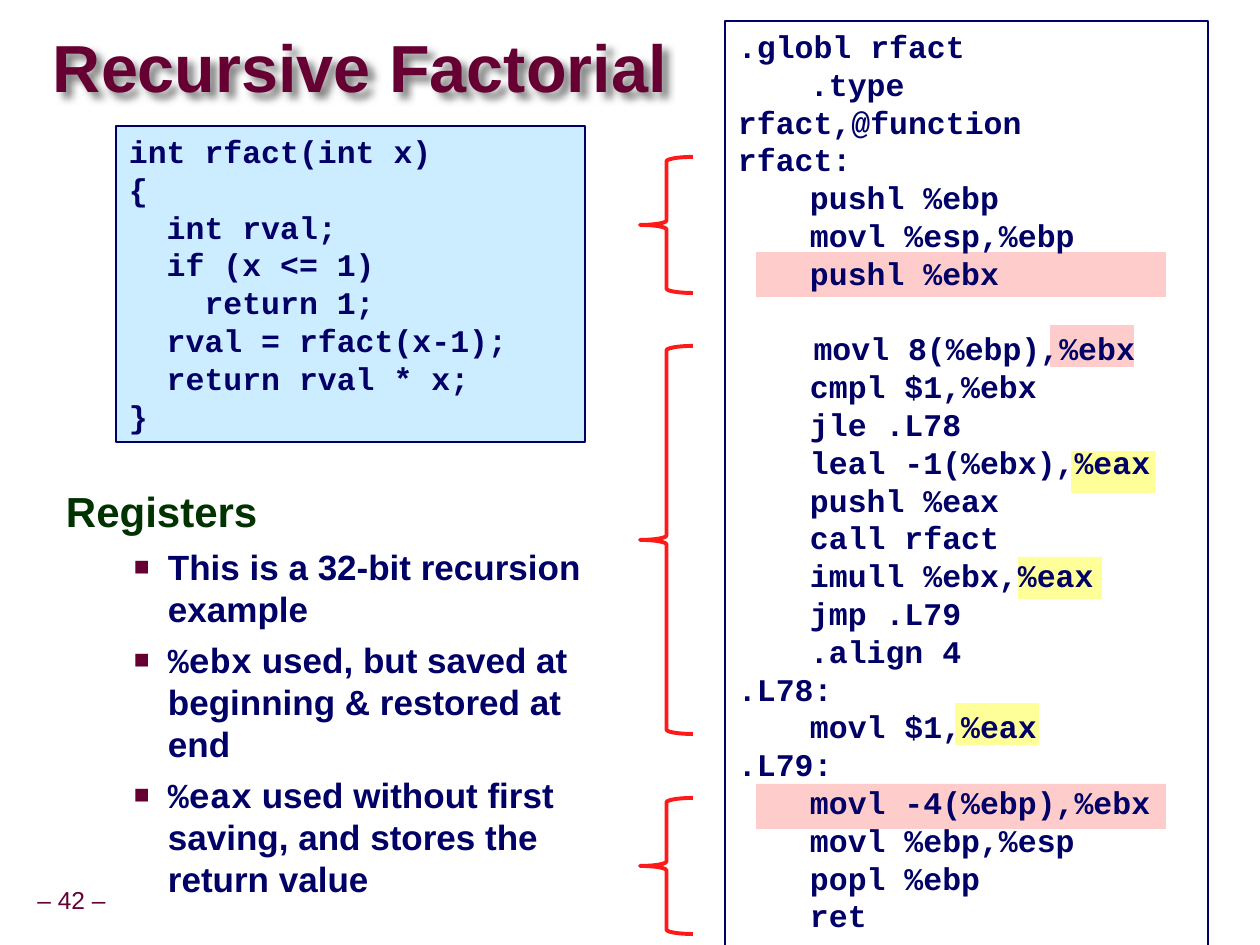
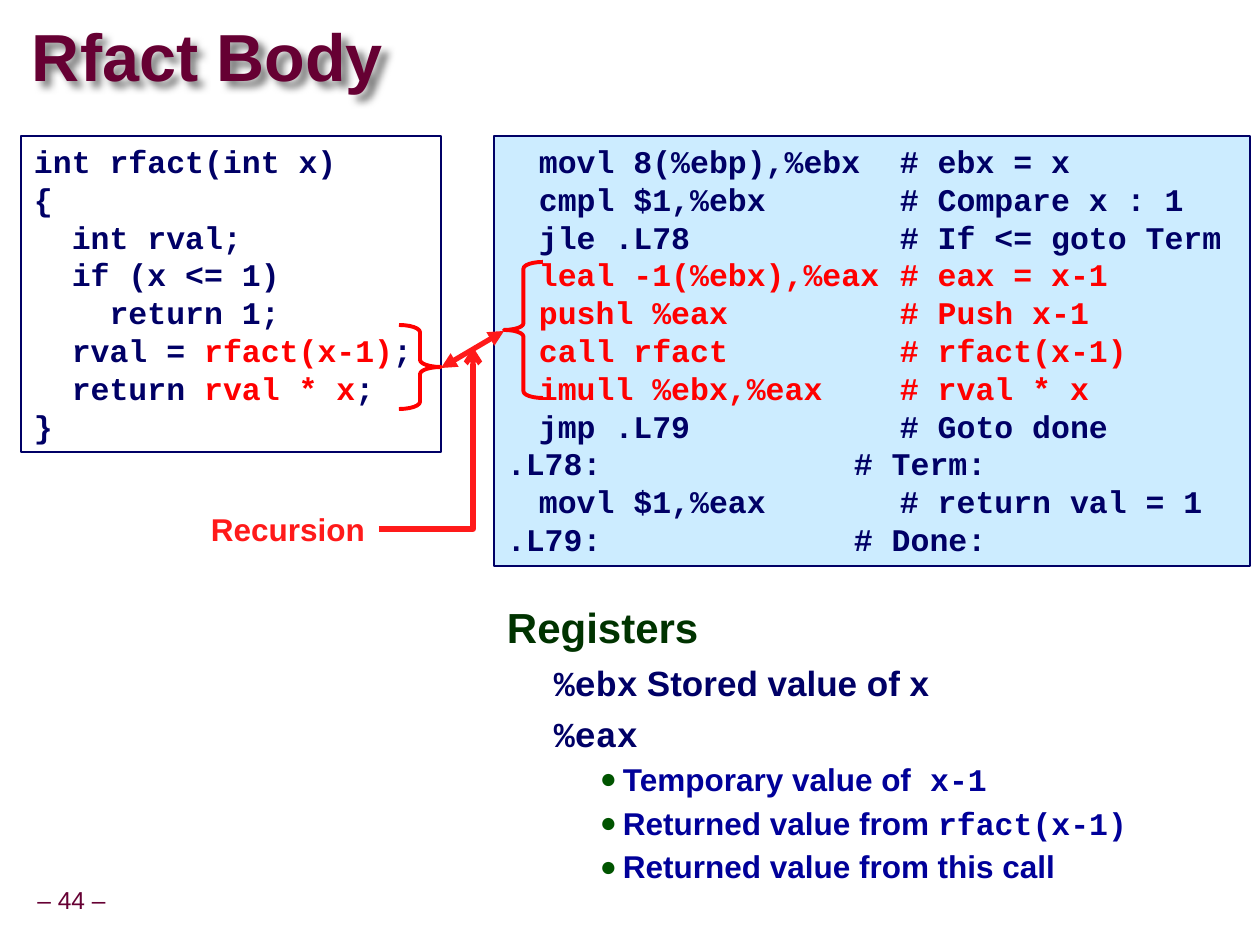
"""Builds two slides on a recursive factorial and its compiled code."""
import pptx
import pptx.dml.color
import pptx.enum.shapes
import pptx.enum.text
import pptx.oxml.ns
import pptx.util
from lxml import etree

PX = 914400 / 126
SANS, MONO = "Arial", "Courier New"
MAROON, NAVY, GREEN, BLUE = "660033", "000066", "003300", "000099"
RED, BRIGHT_RED, SKY, YELLOW, PINK = "FF0000", "FF1A1A", "CCECFF", "FFFF99", "FFCCCC"
SHAPE = pptx.enum.shapes.MSO_SHAPE
ALIGN = pptx.enum.text.PP_ALIGN
ANCHOR = pptx.enum.text.MSO_ANCHOR
qn = pptx.oxml.ns.qn

RFACT_C = [
    "int rfact(int x)",
    "{",
    "  int rval;",
    "  if (x <= 1)",
    "    return 1;",
    "  rval = |rfact(x-1)|;",
    "  return |rval * x|;",
    "}",
]
RFACT_ASM = [
    ".globl rfact",
    "\t.type\t rfact,@function",
    "rfact:",
    "\tpushl %ebp",
    "\tmovl %esp,%ebp",
    "\tpushl %ebx",
    "\t",
    "    movl 8(%ebp),%ebx",
    "\tcmpl $1,%ebx",
    "\tjle .L78",
    "\tleal -1(%ebx),%eax",
    "\tpushl %eax",
    "\tcall rfact",
    "\timull %ebx,%eax",
    "\tjmp .L79",
    "\t.align 4",
    ".L78:",
    "\tmovl $1,%eax",
    ".L79:",
    "\tmovl -4(%ebp),%ebx",
    "\tmovl %ebp,%esp",
    "\tpopl %ebp",
    "\tret",
]
BODY_ASM = [
    "\tmovl 8(%ebp),%ebx\t# ebx = x",
    "\tcmpl $1,%ebx\t\t# Compare x : 1",
    "\tjle .L78\t\t# If <= goto Term",
    "\t|leal -1(%ebx),%eax\t# eax = x-1",
    "|\tpushl %eax\t\t# Push x-1",
    "|\tcall rfact\t\t# rfact(x-1)",
    "|\timull %ebx,%eax\t\t# rval * x",
    "\tjmp .L79\t\t# Goto done",
    ".L78:\t# Term:",
    "\tmovl $1,%eax\t\t# return val = 1",
    ".L79:\t# Done:",
]
REGISTER_USE = [
    (0, "Registers"),
    (1, "This is a 32-bit recursion example"),
    (1, "|%ebx| used, but saved at beginning & restored at end"),
    (1, "|%eax| used without first saving, and stores the return value"),
]
REGISTER_VALUES = [
    (0, "Registers"),
    (1, "|%ebx\t|Stored value of x"),
    (1, "|%eax"),
    (2, "Temporary value of| x-1"),
    (2, "Returned value from |rfact(x-1)"),
    (2, "Returned value from this call"),
]
HIGHLIGHTS = [
    (YELLOW, 1071, 451, 84, 42),
    (YELLOW, 1018, 557, 84, 42),
    (YELLOW, 955, 703, 84, 42),
    (PINK, 1050, 325, 84, 42),
    (PINK, 756, 784, 410, 45),
    (PINK, 756, 252, 410, 45),
]
SECTION_BRACES = [(157, 136), (346, 388), (798, 136)]

LEVELS = [(24, GREEN, 0.95, 0.5), (20, NAVY, 1.0, 0.25), (18, BLUE, 1.07, 0.1)]
SQUARE, DOT = ("■", MAROON, 75), ("●", "005400", 90)
USE_LAYOUT = [(53, -53, None), (102, -34, SQUARE)]
VALUES_LAYOUT = [(30, -30, None), (77, -30, None), (116, -23, DOT)]


def px(n):
    return round(n * PX)


def rgb(value):
    return pptx.dml.color.RGBColor.from_string(value)


def add(parent, tag, **attrs):
    el = etree.SubElement(parent, qn(tag))
    for key, value in attrs.items():
        el.set(key, str(value))
    return el


def add_run(p, text, size, color, font=SANS, bold=True):
    r = p.add_run()
    r.text = text
    r.font.name, r.font.size, r.font.bold = font, pptx.util.Pt(size), bold
    r.font.color.rgb = rgb(color)


def add_tabs(p, tabs):
    if tabs:
        tab_list = add(p._p.get_or_add_pPr(), "a:tabLst")
        for pos in tabs:
            add(tab_list, "a:tab", pos=px(pos), algn="l")


def set_bullet(p, left, indent, bullet):
    pPr = p._p.get_or_add_pPr()
    pPr.set("marL", str(px(left)))
    pPr.set("indent", str(px(indent)))
    if not bullet:
        add(pPr, "a:buNone")
        return
    char, color, percent = bullet
    add(add(pPr, "a:buClr"), "a:srgbClr", val=color)
    add(pPr, "a:buSzPct", val=percent * 1000)
    add(pPr, "a:buFont", typeface=SANS)
    add(pPr, "a:buChar", char=char)


def place(sp, box):
    sp.left, sp.top, sp.width, sp.height = map(px, box)


def set_frame(tf, anchor=ANCHOR.TOP, inset=(13, 6), wrap=True):
    tf.auto_size = pptx.enum.text.MSO_AUTO_SIZE.NONE
    tf.word_wrap, tf.vertical_anchor = wrap, anchor
    tf.margin_left = tf.margin_right = px(inset[0])
    tf.margin_top = tf.margin_bottom = px(inset[1])


def paragraphs(tf, items):
    for i, item in enumerate(items):
        yield (tf.add_paragraph() if i else tf.paragraphs[0]), item


def add_shape(slide, kind, box, fill=None, line=None, width=1):
    sp = slide.shapes.add_shape(kind, *map(px, box))
    sp.shadow.inherit = False
    if fill:
        sp.fill.solid()
        sp.fill.fore_color.rgb = rgb(fill)
    else:
        sp.fill.background()
    if line:
        sp.line.color.rgb, sp.line.width = rgb(line), pptx.util.Pt(width)
    else:
        sp.line.fill.background()
    return sp


def add_label(slide, box, text, size, color, align, bold, **frame):
    tf = slide.shapes.add_textbox(*map(px, box)).text_frame
    set_frame(tf, wrap=False, **frame)
    p = tf.paragraphs[0]
    p.alignment = align
    add_run(p, text, size, color, bold=bold)
    return p


def add_code(slide, box, lines, fill=None, accent=NAVY, tabs=()):
    tf = add_shape(slide, SHAPE.RECTANGLE, box, fill, NAVY).text_frame
    set_frame(tf)
    for p, line in paragraphs(tf, lines):
        p.alignment = ALIGN.LEFT
        add_tabs(p, tabs)
        for i, part in enumerate(line.split("|")):
            if part:
                add_run(p, part, 18, accent if i % 2 else NAVY, MONO)


def fill_body(sp, box, items, layout, tabs=()):
    place(sp, box)
    set_frame(sp.text_frame)
    for p, (level, text) in paragraphs(sp.text_frame, items):
        size, color, spacing, before = LEVELS[level]
        p.level = level
        set_bullet(p, *layout[level])
        add_tabs(p, tabs)
        p.line_spacing = spacing
        p.space_before = pptx.util.Pt(size * before if level else 0)
        for i, part in enumerate(text.split("|")):
            if part:
                add_run(p, part, size, color, MONO if i % 2 else SANS)


def add_brace(slide, box, color, bend=None, flip=False):
    sp = add_shape(slide, SHAPE.LEFT_BRACE, box, line=color, width=2.25)
    if bend:
        sp.adjustments[0] = bend
    if flip:
        sp._element.spPr.xfrm.set("flipH", "1")


def add_arrow(slide, start, end, kind, **heads):
    c = slide.shapes.add_connector(kind, *map(px, start + end))
    c.line.color.rgb, c.line.width = rgb(BRIGHT_RED), pptx.util.Pt(3)
    spPr = c._element.spPr
    for tag, head in heads.items():
        add(spPr.find(qn("a:ln")), "a:" + tag, type=head)
    add(spPr, "a:effectLst")
    return c


def add_slide(prs, title, title_box, number):
    slide = prs.slides.add_slide(prs.slide_layouts[1])
    sp = slide.shapes.title
    place(sp, title_box)
    set_frame(sp.text_frame, ANCHOR.MIDDLE, (0, 0))
    p = sp.text_frame.paragraphs[0]
    p.alignment, p.line_spacing = ALIGN.LEFT, 0.87
    add_run(p, title, 38, MAROON)
    shadow = add(add(sp._element.spPr, "a:effectLst"), "a:outerShdw",
                 blurRad=px(8), dist=px(8), dir=2700000, algn="tl", rotWithShape=0)
    add(add(shadow, "a:srgbClr", val="000000"), "a:alpha", val=50000)
    p = add_label(slide, (30, 882, 83, 39), f"– {number} –", 14, MAROON, ALIGN.CENTER,
                  False, anchor=ANCHOR.MIDDLE, inset=(6, 6))
    p.line_spacing = 0.9
    return slide


def build_factorial(prs):
    slide = add_slide(prs, "Recursive Factorial", (53, 32, 735, 79), 42)
    for color, *box in HIGHLIGHTS:
        add_shape(slide, SHAPE.RECTANGLE, box, color)
    add_code(slide, (116, 126, 469, 316), RFACT_C, SKY)
    add_code(slide, (725, 21, 483, 929), RFACT_ASM, tabs=(72, 150))
    fill_body(slide.placeholders[1], (53, 483, 577, 189), REGISTER_USE, USE_LAYOUT)
    for top, height in SECTION_BRACES:
        add_brace(slide, (640, top, 53, height), BRIGHT_RED)


def build_body(prs):
    slide = add_slide(prs, "Rfact Body", (32, 21, 431, 79), 44)
    fill_body(slide.placeholders[1], (494, 599, 674, 305), REGISTER_VALUES,
              VALUES_LAYOUT, (150,))
    add_code(slide, (494, 136, 756, 430), BODY_ASM, SKY, RED, (32, 347, 393))
    add_code(slide, (21, 136, 420, 316), RFACT_C, accent=RED)
    add_brace(slide, (504, 262, 39, 136), RED, 0.17)
    add_brace(slide, (399, 325, 42, 84), RED, 0.17, flip=True)
    add_label(slide, (199, 504, 179, 50), "Recursion", 18, BRIGHT_RED, ALIGN.RIGHT, True)
    kinds = pptx.enum.shapes.MSO_CONNECTOR
    add_arrow(slide, (441, 368), (504, 331), kinds.STRAIGHT,
              headEnd="triangle", tailEnd="triangle")
    c = add_arrow(slide, (379, 529), (473, 347), kinds.ELBOW, tailEnd="arrow")
    c._element.spPr.find(qn("a:prstGeom")).set("prst", "bentConnector2")


def main():
    prs = pptx.Presentation()
    prs.slide_width, prs.slide_height = px(1260), px(945)
    build_factorial(prs)
    build_body(prs)
    prs.save("out.pptx")


if __name__ == "__main__":
    main()
